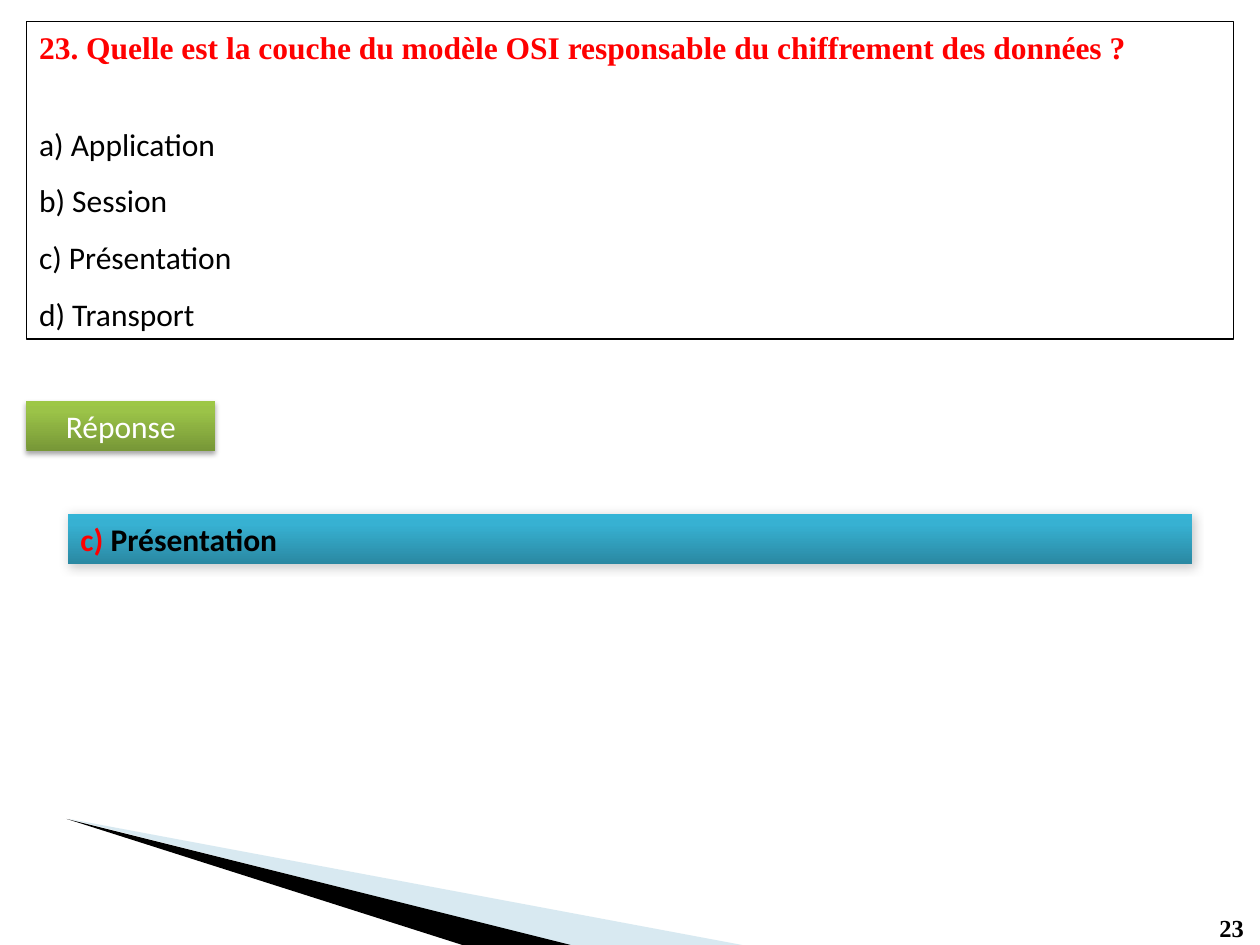
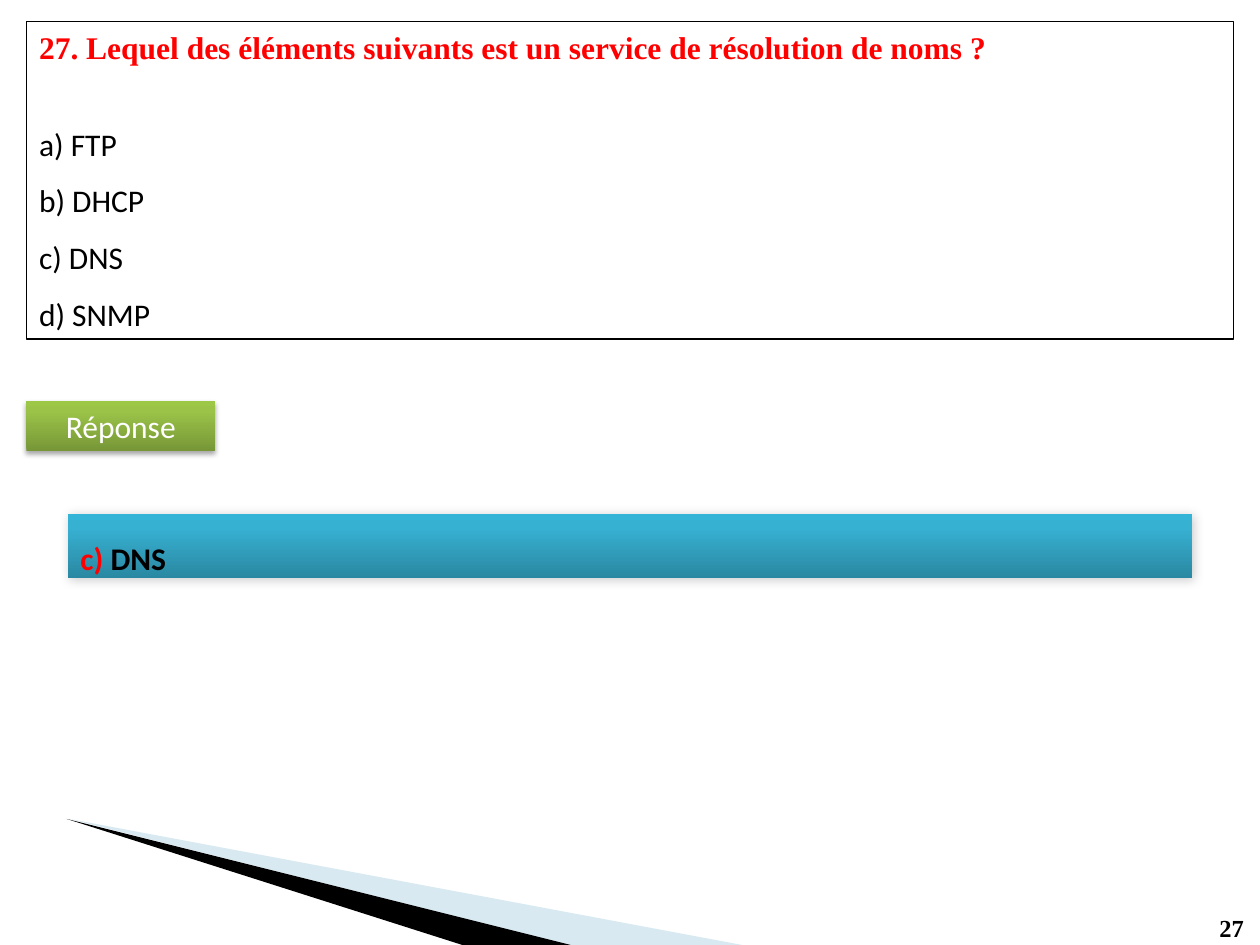
"""Build two quiz slides, each with a question, its choices and the answer."""
import pptx
import pptx.util
import pptx.dml.color
import pptx.enum.shapes
import pptx.enum.text
import pptx.oxml.ns
from lxml import etree
from pptx.util import Inches

QUESTIONS = [
    {
        "number": 23,
        "question": "Quelle est la couche du modèle OSI responsable du chiffrement des données ?",
        "choices": ["Application", "Session", "Présentation", "Transport"],
        "answer": 2, "answer_height": 0.4, "answer_spacing": 1.0,
    },
    {
        "number": 27,
        "question": "Lequel des éléments suivants est un service de résolution de noms ?",
        "choices": ["FTP", "DHCP", "DNS", "SNMP"],
        "answer": 2, "answer_height": 0.51, "answer_spacing": 1.5,
    },
]
COLORS = {"red": "FF0000", "black": "000000", "white": "FFFFFF", "pale": "9FCADC"}
GREEN_BAND = {
    "stops": [(0, "779737"), (80, "9BC348"), (100, "9DC746")],
    "shadow": {"alpha": 35, "blur": 3.1, "distance": 1.8, "angle": 90},
}
BLUE_BAND = {
    "stops": [(0, "2A88A2"), (80, "37B1D2"), (100, "34B4D6")],
    "shadow": {"alpha": 20, "blur": 6, "distance": 1, "angle": 45},
}
WEDGES = [
    ([(0.55, 6.5), (4.51, 7.5), (5.89, 7.5)], "pale", 40),
    ([(0.53, 6.5), (3.67, 7.5), (4.53, 7.5)], "black", 100),
]
LETTERS = "abcd"
QUESTION_BOX = (0.21, 0.17, 9.58, 2.52)
TITLE_HEIGHT = 0.4
SERIF, SANS = "Times New Roman", "Calibri"
ALIGN = pptx.enum.text.PP_ALIGN
ANCHOR = pptx.enum.text.MSO_ANCHOR


def rgb(name):
    return pptx.dml.color.RGBColor.from_string(COLORS[name])


def add_element(parent, tag, **attributes):
    element = etree.SubElement(parent, pptx.oxml.ns.qn(tag))
    for name, value in attributes.items():
        element.set(name, str(value))
    return element


def format_run(run, color, font=SANS, size=18, bold=False):
    run.font.name, run.font.size, run.font.bold = font, pptx.util.Pt(size), bold
    run.font.color.rgb = rgb(color)


def place(shape, left, top, width, height):
    shape.left, shape.top = Inches(left), Inches(top)
    shape.width, shape.height = Inches(width), Inches(height)


def set_frame(shape, anchor):
    frame = shape.text_frame
    frame.word_wrap = True
    frame.auto_size = pptx.enum.text.MSO_AUTO_SIZE.NONE
    frame.vertical_anchor = anchor
    return frame


def add_wedges(slide, layout):
    for index, (points, color, alpha) in enumerate(WEDGES):
        corners = [(Inches(x), Inches(y)) for x, y in points]
        builder = slide.shapes.build_freeform(*corners[0])
        builder.add_line_segments(corners[1:])
        wedge = builder.convert_to_shape()
        wedge.shadow.inherit = False
        wedge.fill.solid()
        wedge.fill.fore_color.rgb = rgb(color)
        wedge.line.fill.background()
        fill_color = wedge._element.spPr.find(".//" + pptx.oxml.ns.qn("a:srgbClr"))
        add_element(fill_color, "a:alpha", val=alpha * 1000)
        wedge._element.nvSpPr.cNvPr.set("id", str(100 + index))
        layout.shapes._spTree.insert(2 + index, wedge._element)


def add_band(slide, box, style):
    band = slide.shapes.add_shape(
        pptx.enum.shapes.MSO_SHAPE.RECTANGLE, *[Inches(value) for value in box])
    band.shadow.inherit = False
    band.line.fill.background()
    band.fill.gradient()
    band.fill.gradient_angle = 90
    properties = band._element.spPr
    stop_list = properties.find(".//" + pptx.oxml.ns.qn("a:gsLst"))
    for stop in list(stop_list):
        stop_list.remove(stop)
    for position, color in style["stops"]:
        stop = add_element(stop_list, "a:gs", pos=position * 1000)
        add_element(stop, "a:srgbClr", val=color)
    shadow = style["shadow"]
    outer = add_element(
        properties.find(pptx.oxml.ns.qn("a:effectLst")), "a:outerShdw",
        blurRad=pptx.util.Pt(shadow["blur"]), dist=pptx.util.Pt(shadow["distance"]),
        dir=shadow["angle"] * 60000, rotWithShape=0)
    shadow_color = add_element(outer, "a:srgbClr", val=COLORS["black"])
    add_element(shadow_color, "a:alpha", val=shadow["alpha"] * 1000)
    return set_frame(band, ANCHOR.TOP).paragraphs[0]


def add_question(slide, item):
    title, body = slide.shapes.title, slide.placeholders[1]
    left, top, width, height = QUESTION_BOX
    place(title, left, top, width, TITLE_HEIGHT)
    frame = set_frame(title, ANCHOR.TOP)
    frame.text = f"{item['number']}. {item['question']}"
    frame.paragraphs[0].alignment = ALIGN.LEFT
    format_run(frame.paragraphs[0].runs[0], "red", SERIF, bold=True)

    place(body, left, top, width, height)
    body.line.color.rgb = rgb("black")
    body.line.width = pptx.util.Pt(0.75)
    frame = set_frame(body, ANCHOR.BOTTOM)
    frame.text = "\n".join(
        f"{letter}) {choice}" for letter, choice in zip(LETTERS, item["choices"]))
    for paragraph in frame.paragraphs:
        properties = paragraph._p.get_or_add_pPr()
        properties.set("marL", "0")
        properties.set("indent", "0")
        add_element(properties, "a:buNone")
        paragraph.space_before = pptx.util.Pt(0)
        paragraph.line_spacing = 1.5
        format_run(paragraph.runs[0], "black")


def add_answer(slide, item):
    label = add_band(slide, (0.21, 3.18, 1.5, 0.4), GREEN_BAND)
    label.text = "Réponse"
    label.alignment = ALIGN.CENTER
    format_run(label.runs[0], "white")

    answer = add_band(slide, (0.54, 4.08, 8.92, item["answer_height"]), BLUE_BAND)
    answer.alignment = ALIGN.JUSTIFY
    answer.line_spacing = item["answer_spacing"]
    index = item["answer"]
    for text, color in [(f"{LETTERS[index]}) ", "red"), (item["choices"][index], "black")]:
        run = answer.add_run()
        run.text = text
        format_run(run, color, bold=True)


def add_number(slide, number):
    box = slide.shapes.add_textbox(Inches(9.58), Inches(7.2), Inches(0.4), Inches(0.34))
    frame = set_frame(box, ANCHOR.TOP)
    frame.word_wrap = False
    frame.text = str(number)
    format_run(frame.paragraphs[0].runs[0], "black", SERIF, 14, True)


def main():
    presentation = pptx.Presentation()
    presentation.slide_width, presentation.slide_height = Inches(10), Inches(7.5)
    layout = presentation.slide_layouts[1]
    for index, item in enumerate(QUESTIONS):
        slide = presentation.slides.add_slide(layout)
        if index == 0:
            add_wedges(slide, layout)
        add_number(slide, item["number"])
        add_question(slide, item)
        add_answer(slide, item)
    presentation.save("out.pptx")


if __name__ == "__main__":
    main()
